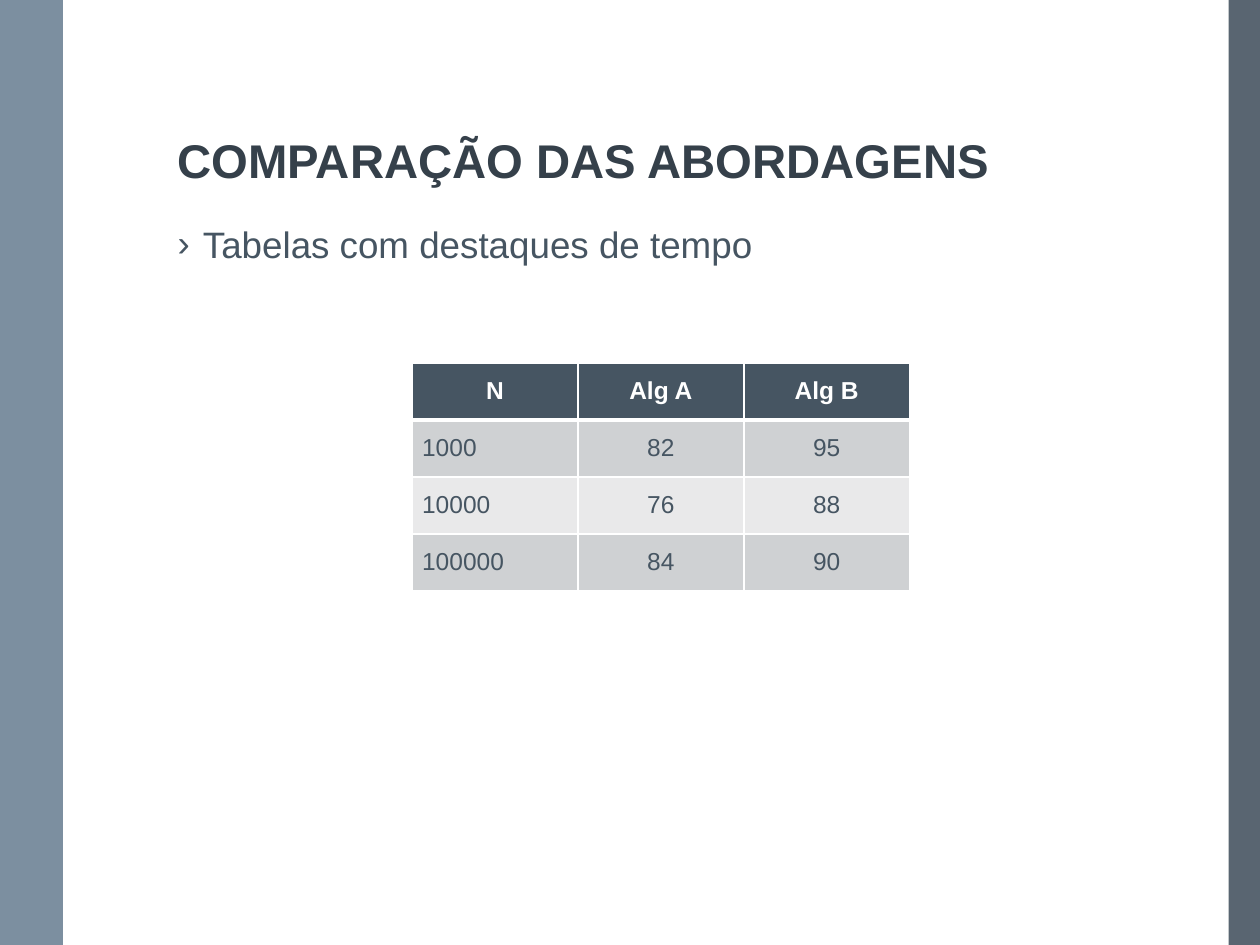
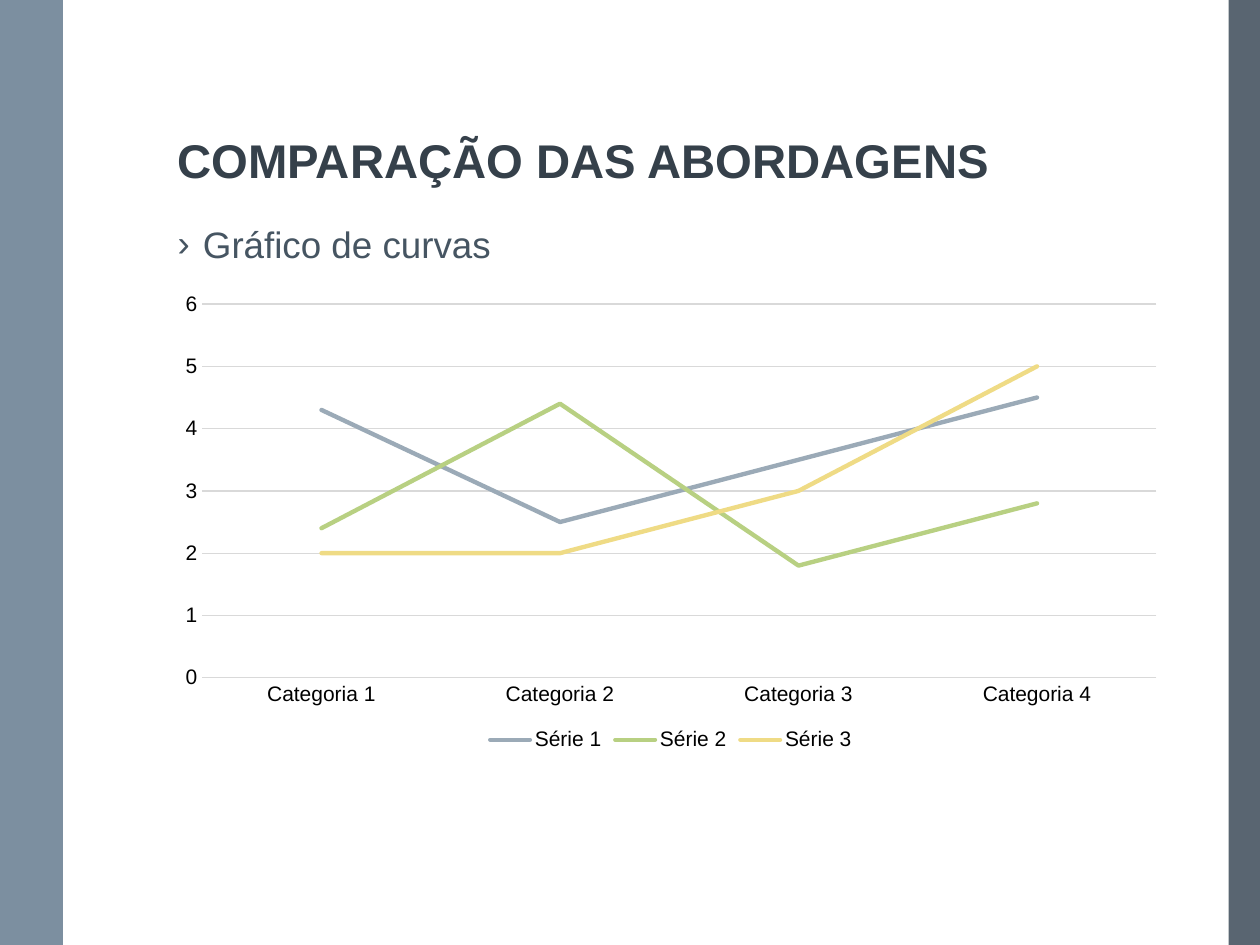
from lxml import etree
from pptx import Presentation, util as u
from pptx.chart.data import CategoryChartData
from pptx.dml.color import RGBColor
from pptx.enum import chart as charts, shapes, text
from pptx.oxml.ns import qn

COLUMNS, ROWS = 40, 30
WHITE, BLACK, GRID = "FFFFFF", "000000", "D9D9D9"
INK, HEADING = "465562", "35404A"
STRIPES = ["CFD1D3", "E9E9EA"]
TITLE = "COMPARAÇÃO DAS ABORDAGENS"
LEFT, WIDTH = 5.25, 32.1


def color(value):
    return RGBColor.from_string(value)


def apply(target, values):
    for name, value in values.items():
        setattr(target, name, value)


def add_element(parent, tag, **attributes):
    return etree.SubElement(parent, qn(tag), attributes)


class Deck:
    font_name = "Arial"

    def __init__(self):
        self.presentation = Presentation()
        apply(self.presentation, {"slide_width": u.Inches(10), "slide_height": u.Inches(7.5)})
        self.slide = None

    def place(self, left, top, width, height):
        column = self.presentation.slide_width / COLUMNS
        row = self.presentation.slide_height / ROWS
        return [round(v) for v in (left * column, top * row, width * column, height * row)]

    def style_font(self, font, size, ink, bold=False):
        apply(font, {"name": self.font_name, "size": u.Pt(size), "bold": bold})
        font.color.rgb = color(ink)

    def style_line(self, line, ink, width):
        line.color.rgb = color(ink)
        line.width = u.Pt(width)

    def new_slide(self, bullet):
        self.slide = self.presentation.slides.add_slide(self.presentation.slide_layouts[6])
        self.band(COLUMNS - 1, 1, "475562", 90)
        self.band(0, 2, "6A8093", 88)
        self.vertical_line(2.04)
        self.text(TITLE, (LEFT, 0.75, WIDTH, 5.45), 27, HEADING, True, text.MSO_ANCHOR.BOTTOM)
        self.bullet(bullet)

    def band(self, left, width, fill, opacity):
        shape = self.slide.shapes.add_shape(
            shapes.MSO_SHAPE.RECTANGLE, *self.place(left, 0, width, ROWS))
        shape.shadow.inherit = False
        shape.fill.solid()
        shape.fill.fore_color.rgb = color(fill)
        shape.line.fill.background()
        tint = shape.fill._xPr.find(".//" + qn("a:srgbClr"))
        add_element(tint, "a:alpha", val=str(opacity * 1000))

    def vertical_line(self, left):
        x, top, _, bottom = self.place(left, 0, 0, ROWS)
        connector = self.slide.shapes.add_connector(
            shapes.MSO_CONNECTOR.STRAIGHT, x, top, x, bottom)
        self.style_line(connector.line, WHITE, 1.5)
        add_element(connector._element.spPr, "a:effectLst")

    def text(self, words, box, size, ink, bold=False, anchor=text.MSO_ANCHOR.TOP):
        frame = self.slide.shapes.add_textbox(*self.place(*box)).text_frame
        apply(frame, {"word_wrap": True, "vertical_anchor": anchor})
        paragraph = frame.paragraphs[0]
        paragraph.line_spacing = 0.9
        run = paragraph.add_run()
        run.text = words
        self.style_font(run.font, size, ink, bold)
        return paragraph

    def bullet(self, words):
        paragraph = self.text(words, (LEFT, 7, WIDTH, 20), 21, INK)
        paragraph.space_before = u.Pt(10.5)
        properties = paragraph._p.get_or_add_pPr()
        apply_indent = {"marL": u.Inches(0.2), "indent": u.Inches(-0.2)}
        for name, value in apply_indent.items():
            properties.set(name, str(value))
        add_element(properties, "a:buFont", typeface=self.font_name)
        add_element(properties, "a:buChar", char="›")

    def borders(self, cell, top, bottom):
        properties = cell._tc.get_or_add_tcPr()
        sides = {"a:lnL": 1, "a:lnR": 1, "a:lnT": top, "a:lnB": bottom}
        for position, (tag, width) in enumerate(sides.items()):
            line = add_element(properties, tag, w=str(u.Pt(width)))
            add_element(add_element(line, "a:solidFill"), "a:srgbClr", val=WHITE)
            properties.insert(position, line)

    def table(self, records, box):
        table = self.slide.shapes.add_table(
            len(records), len(records[0]), *self.place(*box)).table
        apply(table, {"first_row": False, "horz_banding": False})
        for row, record in enumerate(records):
            header = row == 0
            for column, value in enumerate(record):
                cell = table.cell(row, column)
                apply(cell, {
                    "text": str(value), "vertical_anchor": text.MSO_ANCHOR.MIDDLE,
                    "margin_left": u.Inches(0.08), "margin_right": u.Inches(0.08),
                    "margin_top": u.Inches(0.04), "margin_bottom": u.Inches(0.04)})
                cell.fill.solid()
                cell.fill.fore_color.rgb = color(INK if header else STRIPES[(row - 1) % 2])
                self.borders(cell, 3 if row == 1 else 1, 3 if header else 1)
                paragraph = cell.text_frame.paragraphs[0]
                centred = header or column > 0
                paragraph.alignment = text.PP_ALIGN.CENTER if centred else text.PP_ALIGN.LEFT
                self.style_font(paragraph.runs[0].font, 14, WHITE if header else INK, header)

    def line_chart(self, categories, series, box):
        data = CategoryChartData()
        data.categories = categories
        for name, (_, values) in series.items():
            data.add_series(name, values)
        chart = self.slide.shapes.add_chart(
            charts.XL_CHART_TYPE.LINE, *self.place(*box), data).chart
        apply(chart, {"has_title": False, "has_legend": True})
        self.style_font(chart.font, 10, INK)
        apply(chart.legend, {"position": charts.XL_LEGEND_POSITION.BOTTOM,
                             "include_in_layout": False})
        self.style_font(chart.legend.font, 12, BLACK)
        for axis in (chart.category_axis, chart.value_axis):
            apply(axis, {"major_tick_mark": charts.XL_TICK_MARK.NONE,
                         "minor_tick_mark": charts.XL_TICK_MARK.NONE})
            self.style_font(axis.tick_labels.font, 12, BLACK)
        self.style_line(chart.category_axis.format.line, GRID, 0.75)
        apply(chart.value_axis, {"minimum_scale": 0, "maximum_scale": 6, "major_unit": 1})
        chart.value_axis.format.line.fill.background()
        self.style_line(chart.value_axis.major_gridlines.format.line, GRID, 0.75)
        chart.plots[0].vary_by_categories = False
        for curve, (ink, _) in zip(chart.plots[0].series, series.values()):
            curve.smooth = False
            curve.marker.style = charts.XL_MARKER_STYLE.NONE
            self.style_line(curve.format.line, ink, 2.5)
            curve.format.line._ln.set("cap", "rnd")


def main():
    deck = Deck()

    deck.new_slide("Tabelas com destaques de tempo")
    times = [("N", "Alg A", "Alg B"), (1000, 82, 95), (10000, 76, 88), (100000, 84, 90)]
    deck.table(times, (13.08, 11.52, 15.8, 7.24))

    deck.new_slide("Gráfico de curvas")
    curves = {
        "Série 1": ("9BAAB7", (4.3, 2.5, 3.5, 4.5)),
        "Série 2": ("B8D082", (2.4, 4.4, 1.8, 2.8)),
        "Série 3": ("EFDB85", (2, 2, 3, 5)),
    }
    categories = [f"Categoria {number}" for number in range(1, 5)]
    deck.line_chart(categories, curves, (LEFT, 9, WIDTH, 15))

    deck.presentation.save("out.pptx")


if __name__ == "__main__":
    main()
